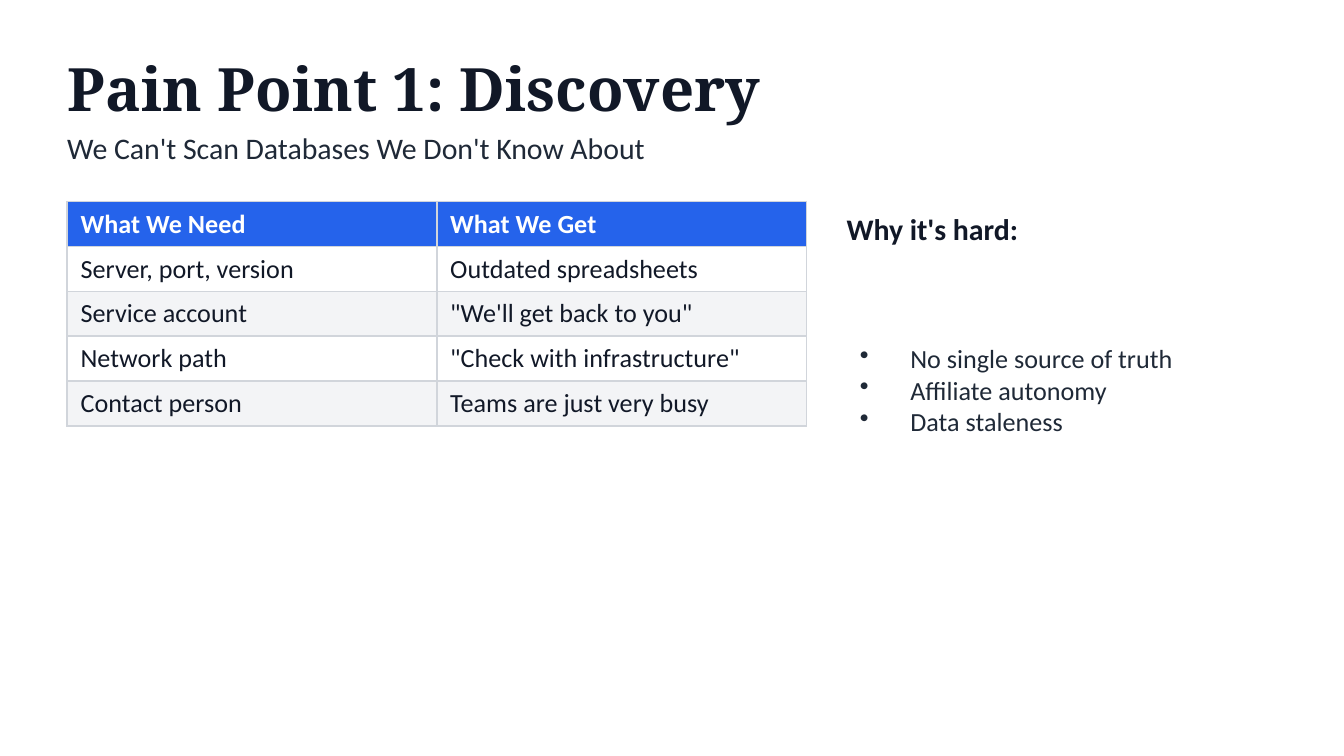
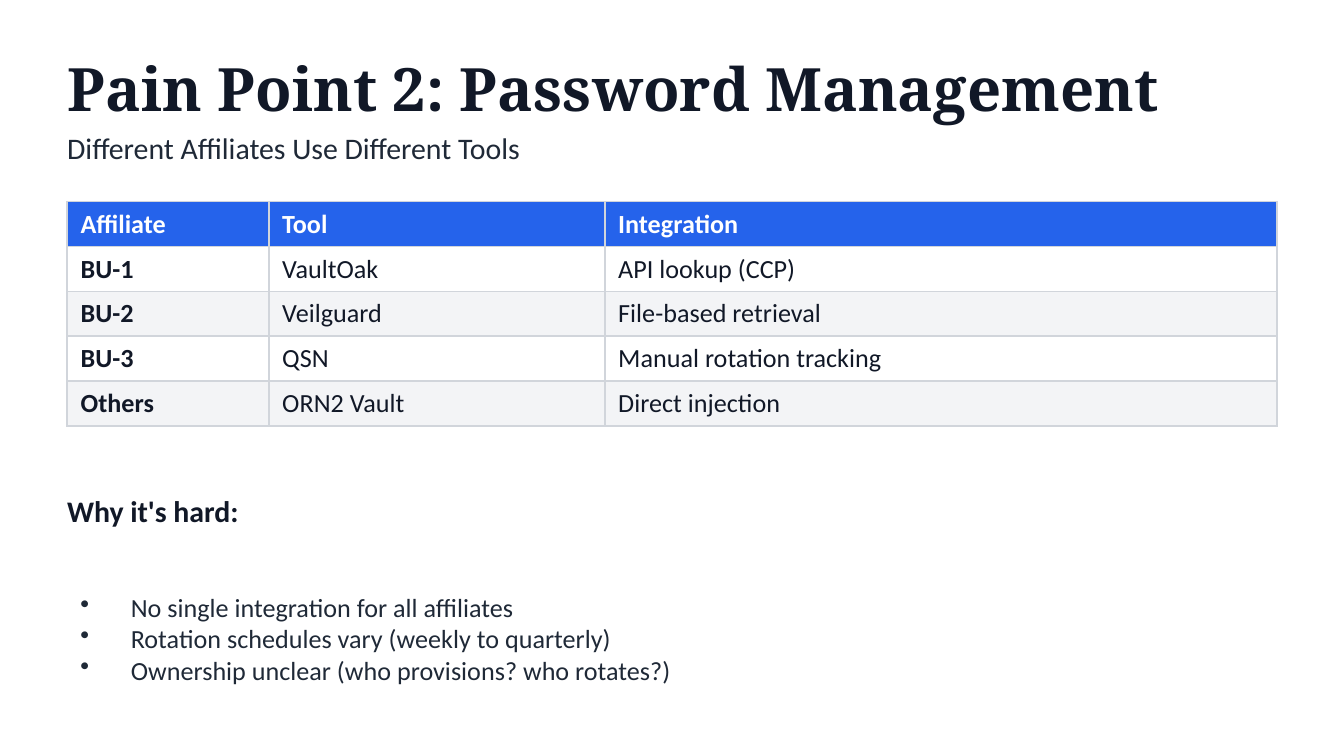
"""Build two slides on the pain points of database scanning."""
from dataclasses import dataclass

from lxml import etree
from pptx import Presentation
from pptx import util as u
from pptx.dml.color import RGBColor
from pptx.enum import text
from pptx.oxml import ns

Pt = u.Pt
HUES = {
    "ink": "111827",
    "body": "1F2937",
    "head": "2563EB",
    "white": "FFFFFF",
    "band": "F3F4F6",
    "rule": "D1D5DB",
}
SANS, SERIF = "Calibri", "Noto Serif"
LEFT, WIDE = 36, 648
ROW = 24
DENT = 27


@dataclass(frozen=True)
class Style:
    size: float
    hue: str
    bold: bool = False
    face: str = SANS


TITLE = Style(32, "ink", True, SERIF)
SUB = Style(16, "body")
LABEL = Style(16, "ink", True)
ITEM = Style(14, "body")
HEAD = Style(14, "white", True)
CELL = Style(14, "ink")
KEY = Style(14, "ink", True)


@dataclass(frozen=True)
class Box:
    left: float
    top: float
    width: float
    height: float


@dataclass(frozen=True)
class Page:
    title: str
    sub: str
    cols: list[float]
    rows: list[list[str]]
    keyed: bool
    label: Box
    depth: float
    items: list[str]


PAGES = [
    Page(
        "Pain Point 1: Discovery",
        "We Can't Scan Databases We Don't Know About",
        [198, 198],
        [
            ["What We Need", "What We Get"],
            ["Server, port, version", "Outdated spreadsheets"],
            ["Service account", '"We\'ll get back to you"'],
            ["Network path", '"Check with infrastructure"'],
            ["Contact person", "Teams are just very busy"],
        ],
        False,
        Box(453.6, 108, 237.6, 28.8),
        144,
        ["No single source of truth", "Affiliate autonomy", "Data staleness"],
    ),
    Page(
        "Pain Point 2: Password Management",
        "Different Affiliates Use Different Tools",
        [108, 180, 360],
        [
            ["Affiliate", "Tool", "Integration"],
            ["BU-1", "VaultOak", "API lookup (CCP)"],
            ["BU-2", "Veilguard", "File-based retrieval"],
            ["BU-3", "QSN", "Manual rotation tracking"],
            ["Others", "ORN2 Vault", "Direct injection"],
        ],
        True,
        Box(LEFT, 259.2, WIDE, 28.8),
        108,
        [
            "No single integration for all affiliates",
            "Rotation schedules vary (weekly to quarterly)",
            "Ownership unclear (who provisions? who rotates?)",
        ],
    ),
]


def paint(para, style: Style) -> None:
    """Set the font of a paragraph."""
    font = para.font
    font.name, font.size, font.bold = style.face, Pt(style.size), style.bold
    font.color.rgb = RGBColor.from_string(HUES[style.hue])


def dot(para) -> None:
    """Give a paragraph a hanging bullet."""
    props = para._p.get_or_add_pPr()
    props.set("marL", str(Pt(DENT)))
    props.set("indent", str(-Pt(DENT)))
    etree.SubElement(props, ns.qn("a:buChar")).set("char", "•")


def write(slide, box: Box, lines: list[str], style: Style,
          list_: bool = False) -> None:
    """Add a text box, as a bullet list if asked."""
    shape = slide.shapes.add_textbox(
        Pt(box.left), Pt(box.top), Pt(box.width), Pt(box.height))
    frame = shape.text_frame
    frame.word_wrap = True
    frame.vertical_anchor = text.MSO_ANCHOR.MIDDLE
    if not list_:
        frame.margin_left = frame.margin_right = 0
        frame.margin_top = frame.margin_bottom = 0
    frame.text = "\n".join(lines)
    for para in frame.paragraphs:
        if list_:
            dot(para)
        paint(para, style)


def edge(cell) -> None:
    """Draw the four borders of a cell."""
    props = cell._tc.get_or_add_tcPr()
    for side in ("lnL", "lnR", "lnT", "lnB"):
        line = etree.SubElement(props, ns.qn(f"a:{side}"), w=str(Pt(1)))
        fill = etree.SubElement(line, ns.qn("a:solidFill"))
        etree.SubElement(fill, ns.qn("a:srgbClr"), val=HUES["rule"])


def grid(slide, page: Page) -> None:
    """Add the table of a page."""
    table = slide.shapes.add_table(
        len(page.rows), len(page.cols), Pt(LEFT), Pt(108),
        Pt(sum(page.cols)), Pt(ROW * len(page.rows))).table
    table.horz_banding = False
    for col, width in zip(table.columns, page.cols):
        col.width = Pt(width)
    for r, row in enumerate(page.rows):
        hue = "head" if r == 0 else "white" if r % 2 else "band"
        for c, word in enumerate(row):
            cell = table.cell(r, c)
            edge(cell)
            cell.fill.solid()
            cell.fill.fore_color.rgb = RGBColor.from_string(HUES[hue])
            cell.text = word
            style = HEAD if r == 0 else KEY if page.keyed and c == 0 else CELL
            paint(cell.text_frame.paragraphs[0], style)


def draw(deck, page: Page) -> None:
    """Add one slide to the deck."""
    slide = deck.slides.add_slide(deck.slide_layouts[6])
    fill = slide.background.fill
    fill.solid()
    fill.fore_color.rgb = RGBColor.from_string(HUES["white"])
    write(slide, Box(LEFT, 21.6, WIDE, 50.4), [page.title], TITLE)
    write(slide, Box(LEFT, 64.8, WIDE, 28.8), [page.sub], SUB)
    grid(slide, page)
    label = page.label
    write(slide, label, ["Why it's hard:"], LABEL)
    below = Box(label.left, label.top + label.height, label.width, page.depth)
    write(slide, below, page.items, ITEM, True)


def main() -> None:
    """Build and save the deck."""
    deck = Presentation()
    deck.slide_width, deck.slide_height = Pt(720), Pt(405)
    for page in PAGES:
        draw(deck, page)
    deck.save("out.pptx")


if __name__ == "__main__":
    main()
